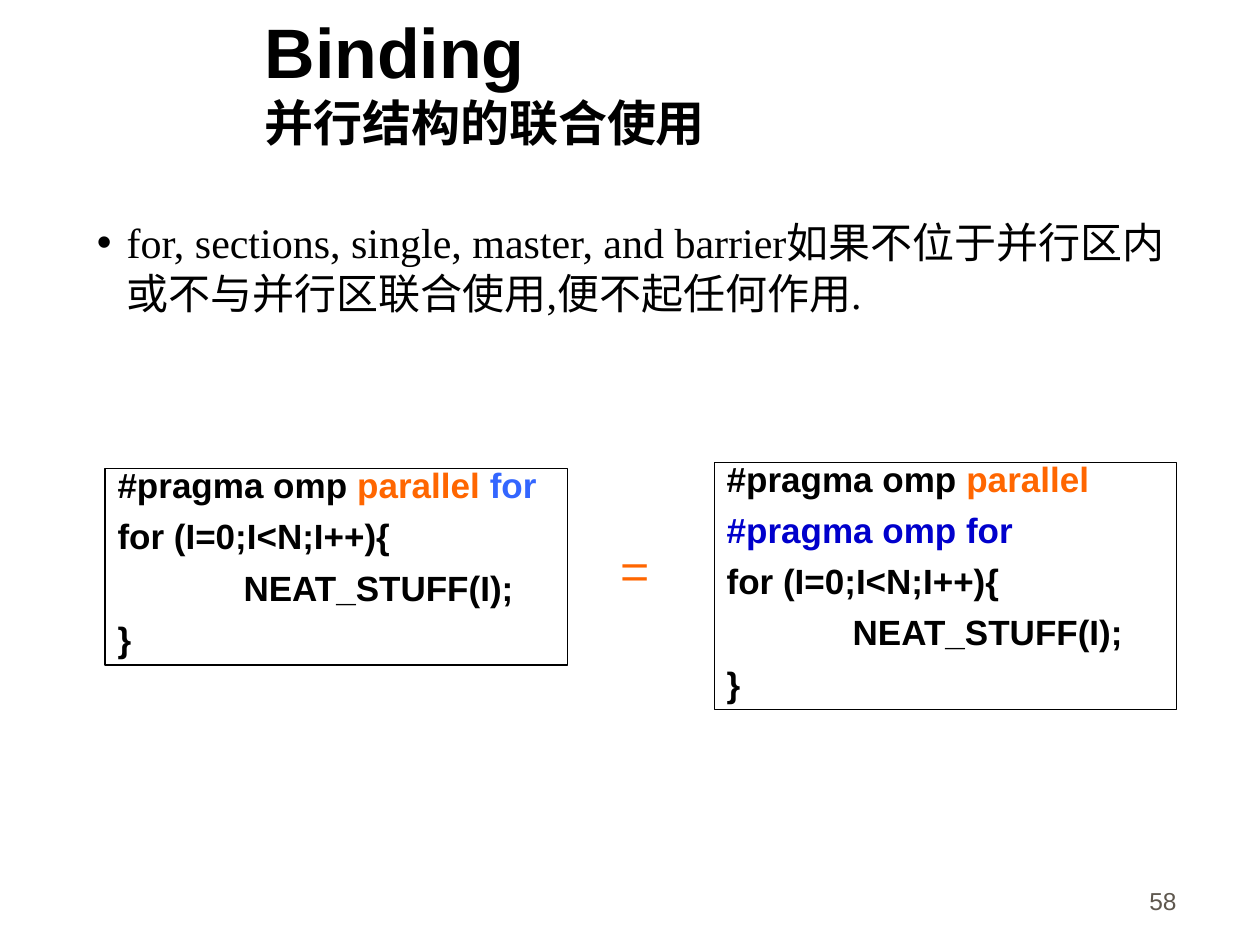
from lxml import etree
from pptx import Presentation
from pptx.dml.color import RGBColor
from pptx.enum.shapes import MSO_SHAPE
from pptx.enum.text import MSO_ANCHOR, MSO_AUTO_SIZE, PP_ALIGN
from pptx.oxml.ns import qn
from pptx.util import Cm, Pt

RECTANGLE = MSO_SHAPE.RECTANGLE
TOP, BOTTOM = MSO_ANCHOR.TOP, MSO_ANCHOR.BOTTOM
LEFT, RIGHT = PP_ALIGN.LEFT, PP_ALIGN.RIGHT
NO_FIT, GROW = MSO_AUTO_SIZE.NONE, MSO_AUTO_SIZE.SHAPE_TO_FIT_TEXT

BLACK, ORANGE = "000000", "FF6600"
LIGHT_BLUE, DARK_BLUE, GREY = "3366FF", "0000CC", "5E574E"
LOOP = [
    [("for (I=0;I<N;I++){", BLACK)],
    [("\tNEAT_STUFF(I);", BLACK)],
    [("}", BLACK)],
]


def color(value):
    return RGBColor.from_string(value)


def add_text(paragraph, text, size=20, font="Arial", fill=BLACK, bold=False):
    run = paragraph.add_run()
    run.text = text
    run.font.size = Pt(size)
    run.font.name = font
    run.font.bold = bold
    run.font.color.rgb = color(fill)


def prepare_frame(shape, anchor=TOP, fit=NO_FIT, wrap=True, align=LEFT):
    frame = shape.text_frame
    frame.vertical_anchor = anchor
    frame.auto_size = fit
    frame.word_wrap = wrap
    frame.paragraphs[0].alignment = align
    return frame


def place(shape, box):
    shape.left, shape.top, shape.width, shape.height = map(Cm, box)


def add_title(slide, box):
    title = slide.shapes.title
    place(title, box)
    paragraph = prepare_frame(title, anchor=BOTTOM).paragraphs[0]
    add_text(paragraph, "Binding", size=40, bold=True)
    paragraph.add_line_break()
    add_text(paragraph, "并行结构的联合使用", size=28, bold=True)


def add_body(slide, box, text):
    body = slide.placeholders[1]
    place(body, box)
    paragraph = prepare_frame(body).paragraphs[0]
    paragraph.space_before = Pt(0)
    properties = paragraph._p.get_or_add_pPr()
    properties.set("marL", str(Cm(0.6)))
    properties.set("indent", str(-Cm(0.6)))
    etree.SubElement(properties, qn("a:buChar"), char="•")
    add_text(paragraph, text, size=24, font="Times New Roman")


def add_code_box(slide, box, lines):
    shape = slide.shapes.add_shape(RECTANGLE, *map(Cm, box))
    shape.shadow.inherit = False
    shape.fill.background()
    shape.line.color.rgb = color(BLACK)
    shape.line.width = Pt(0.75)
    frame = prepare_frame(shape, fit=GROW)
    for index, line in enumerate(lines):
        paragraph = frame.add_paragraph() if index else frame.paragraphs[0]
        paragraph.alignment = LEFT
        paragraph.line_spacing = 0.7
        paragraph.space_before = Pt(12.5 if index else 0)
        tabs = etree.SubElement(paragraph._p.get_or_add_pPr(), qn("a:tabLst"))
        etree.SubElement(tabs, qn("a:tab"), pos=str(Cm(2.54)), algn="l")
        for text, fill in line:
            add_text(paragraph, text, fill=fill, bold=True)


def add_equals_sign(slide, box):
    shape = slide.shapes.add_textbox(*map(Cm, box))
    paragraph = prepare_frame(shape, fit=GROW, wrap=False).paragraphs[0]
    paragraph.line_spacing = 0.7
    add_text(paragraph, "=", size=32, font="Montserrat", fill=ORANGE)


def add_page_number(slide, box, number):
    shape = slide.shapes.add_textbox(*map(Cm, box))
    frame = prepare_frame(shape, anchor=BOTTOM, align=RIGHT)
    add_text(frame.paragraphs[0], number, size=14, fill=GREY)


def main():
    presentation = Presentation()
    presentation.slide_width, presentation.slide_height = Cm(25.4), Cm(19.05)
    slide = presentation.slides.add_slide(presentation.slide_layouts[1])

    add_title(slide, (5.08, 1.27, 17.63, 1.9))
    add_body(
        slide,
        (1.7, 4.24, 22.66, 2.29),
        "for, sections, single, master, and barrier"
        "如果不位于并行区内或不与并行区联合使用,便不起任何作用.",
    )
    combined = [("#pragma omp ", BLACK), ("parallel ", ORANGE), ("for", LIGHT_BLUE)]
    separate = [
        [("#pragma omp ", BLACK), ("parallel", ORANGE)],
        [("#pragma omp for", DARK_BLUE)],
    ]
    add_code_box(slide, (2.12, 9.45, 9.32, 3.96), [combined] + LOOP)
    add_code_box(slide, (14.4, 9.32, 9.32, 4.98), separate + LOOP)
    add_equals_sign(slide, (12.22, 11.07, 1.12, 1.22))
    add_page_number(slide, (18.69, 17.3, 5.28, 1.27), "58")

    presentation.save("out.pptx")


if __name__ == "__main__":
    main()
